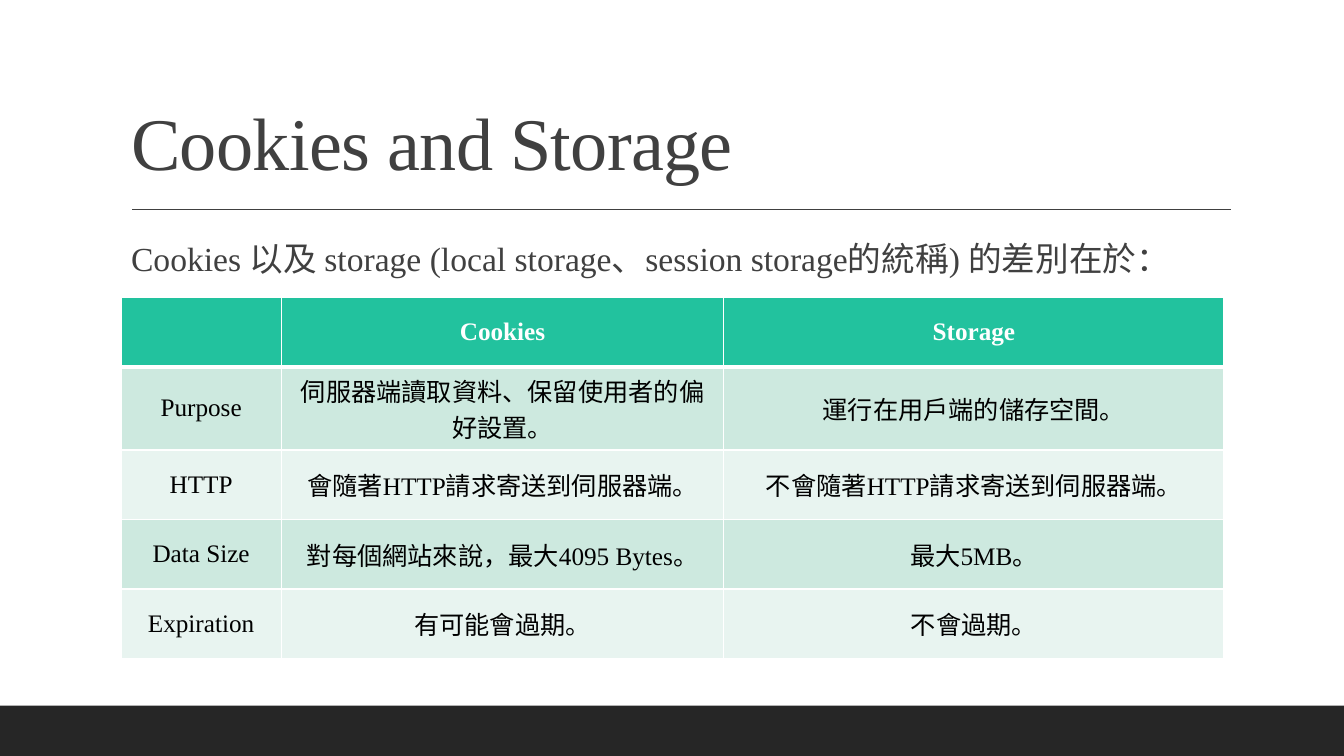
from dataclasses import dataclass

from lxml.etree import SubElement
from pptx import Presentation
from pptx.dml.color import RGBColor
from pptx.enum.shapes import MSO_CONNECTOR, MSO_SHAPE
from pptx.enum.text import MSO_ANCHOR, MSO_AUTO_SIZE, PP_ALIGN
from pptx.oxml.ns import qn
from pptx.util import Inches, Pt


@dataclass(frozen=True)
class Theme:
    font: str = "Times New Roman"
    text: str = "404040"
    cell_text: str = "000000"
    white: str = "FFFFFF"
    footer: str = "262626"
    bullet: str = "7D29E7"
    header: str = "22C29E"
    bands: tuple = ("CDE9DF", "E8F4F0")
    title_size: int = 53
    body_size: int = 24
    cell_size: int = 18


TABLE_ROWS = [
    ("", "Cookies", "Storage"),
    ("Purpose", "伺服器端讀取資料、保留使用者的偏好設置。", "運行在用戶端的儲存空間。"),
    ("HTTP", "會隨著HTTP請求寄送到伺服器端。", "不會隨著HTTP請求寄送到伺服器端。"),
    ("Data Size", "對每個網站來說，最大4095 Bytes。", "最大5MB。"),
    ("Expiration", "有可能會過期。", "不會過期。"),
]


class SlideBuilder:
    """Draws styled elements on one slide."""

    def __init__(self, slide, theme):
        self.slide = slide
        self.theme = theme

    def style(self, paragraph, size, color, bold=False):
        font = paragraph.font
        font.name = self.theme.font
        font.size = Pt(size)
        font.bold = bold
        font.color.rgb = RGBColor.from_string(color)

    def fill(self, target, color):
        target.fill.solid()
        target.fill.fore_color.rgb = RGBColor.from_string(color)

    def place(self, shape, left, top, width, height):
        shape.left, shape.top = Inches(left), Inches(top)
        shape.width, shape.height = Inches(width), Inches(height)
        shape.text_frame.auto_size = MSO_AUTO_SIZE.NONE
        return shape.text_frame

    def bar(self, left, top, width, height):
        shape = self.slide.shapes.add_shape(
            MSO_SHAPE.RECTANGLE, Inches(left), Inches(top), Inches(width), Inches(height))
        shape.shadow.inherit = False
        shape.line.fill.background()
        self.fill(shape, self.theme.footer)

    def rule(self, left, right, top):
        line = self.slide.shapes.add_connector(
            MSO_CONNECTOR.STRAIGHT, Inches(left), Inches(top), Inches(right), Inches(top))
        line.line.width = Pt(1)
        line.line.color.rgb = RGBColor.from_string(self.theme.text)
        SubElement(line._element.spPr, qn("a:effectLst"))

    def title(self, text, left, top, width, height):
        frame = self.place(self.slide.shapes.title, left, top, width, height)
        frame.vertical_anchor = MSO_ANCHOR.BOTTOM
        frame.text = text
        paragraph = frame.paragraphs[0]
        paragraph.alignment = PP_ALIGN.LEFT
        paragraph.line_spacing = 0.9
        self.style(paragraph, self.theme.title_size, self.theme.text)
        paragraph.runs[0].font._element.set("spc", "-50")

    def body(self, text, left, top, width, height):
        frame = self.place(self.slide.placeholders[1], left, top, width, height)
        frame.margin_left = frame.margin_right = 0
        frame.text = text
        paragraph = frame.paragraphs[0]
        properties = paragraph._p.get_or_add_pPr()
        properties.set("marL", str(Inches(0.1)))
        properties.set("indent", str(Inches(-0.1)))
        bullet_color = SubElement(properties, qn("a:buClr"))
        SubElement(bullet_color, qn("a:srgbClr"), val=self.theme.bullet)
        SubElement(properties, qn("a:buChar"), char=" ")
        paragraph.space_before = Pt(12)
        paragraph.space_after = Pt(2)
        self.style(paragraph, self.theme.body_size, self.theme.text)

    def border(self, cell, side, width):
        line = SubElement(cell._tc.get_or_add_tcPr(), qn(f"a:ln{side}"), w=str(Pt(width)))
        fill = SubElement(line, qn("a:solidFill"))
        SubElement(fill, qn("a:srgbClr"), val=self.theme.white)

    def cell(self, cell, text, row):
        thick_side = {0: "B", 1: "T"}.get(row)
        for side in "LRTB":
            self.border(cell, side, 3 if side == thick_side else 1)
        is_header = row == 0
        self.fill(cell, self.theme.header if is_header else self.theme.bands[(row - 1) % 2])
        cell.vertical_anchor = MSO_ANCHOR.MIDDLE
        cell.text = text
        paragraph = cell.text_frame.paragraphs[0]
        paragraph.alignment = PP_ALIGN.CENTER
        color = self.theme.white if is_header else self.theme.cell_text
        self.style(paragraph, self.theme.cell_size, color, is_header)

    def table(self, rows, left, top, column_widths, row_height):
        table = self.slide.shapes.add_table(
            len(rows), len(column_widths), Inches(left), Inches(top),
            Inches(sum(column_widths)), Inches(row_height * len(rows))).table
        for column, width in zip(table.columns, column_widths):
            column.width = Inches(width)
        for row, texts in enumerate(rows):
            table.rows[row].height = Inches(row_height)
            for column, text in enumerate(texts):
                self.cell(table.cell(row, column), text, row)


def main():
    presentation = Presentation()
    presentation.slide_width = Inches(13.33)
    presentation.slide_height = Inches(7.5)
    slide = presentation.slides.add_slide(presentation.slide_layouts[1])
    builder = SlideBuilder(slide, Theme())
    builder.bar(0, 7, 13.33, 0.5)
    builder.rule(1.31, 12.21, 2.08)
    builder.title("Cookies and Storage", 1.2, 0.31, 11, 1.59)
    builder.body("Cookies 以及 storage (local storage、session storage的統稱) 的差別在於：",
                 1.2, 2.31, 11, 4.11)
    builder.table(TABLE_ROWS, 1.2, 2.95, (1.59, 4.39, 4.96), 0.69)
    presentation.save("out.pptx")


if __name__ == "__main__":
    main()
